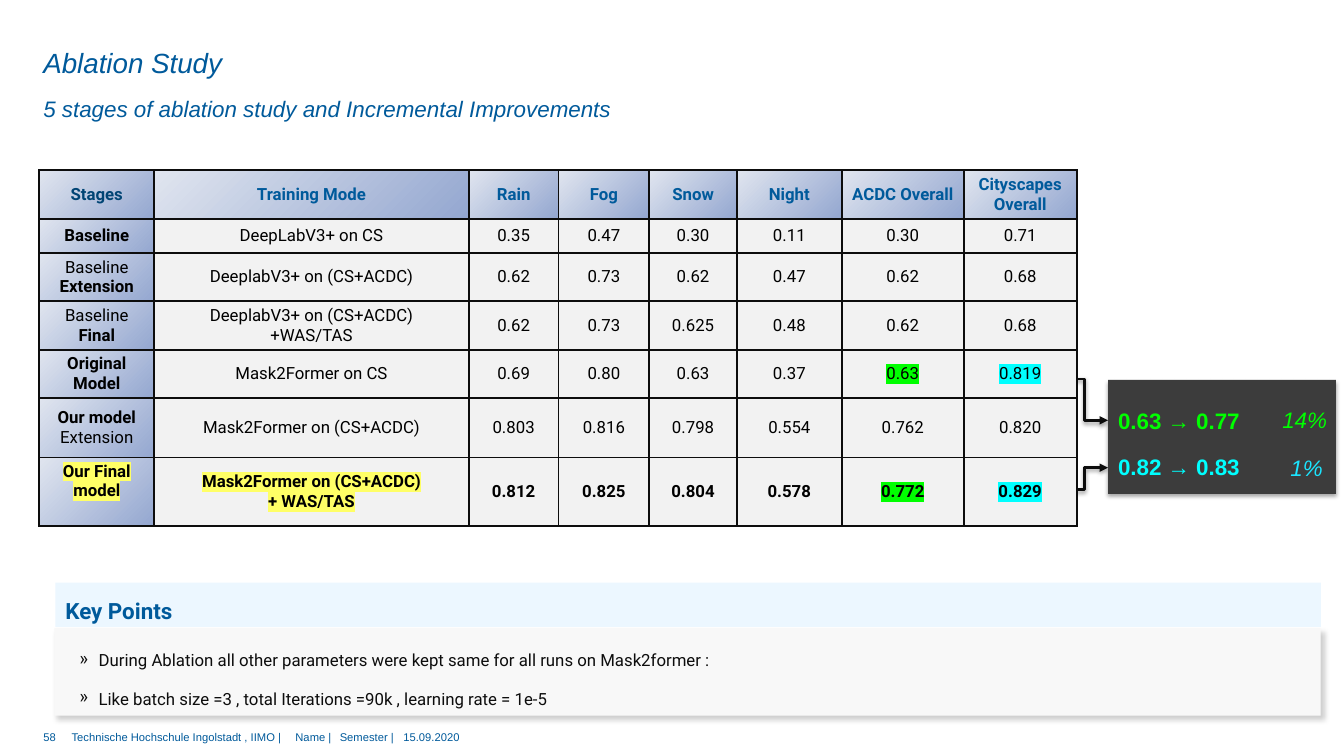
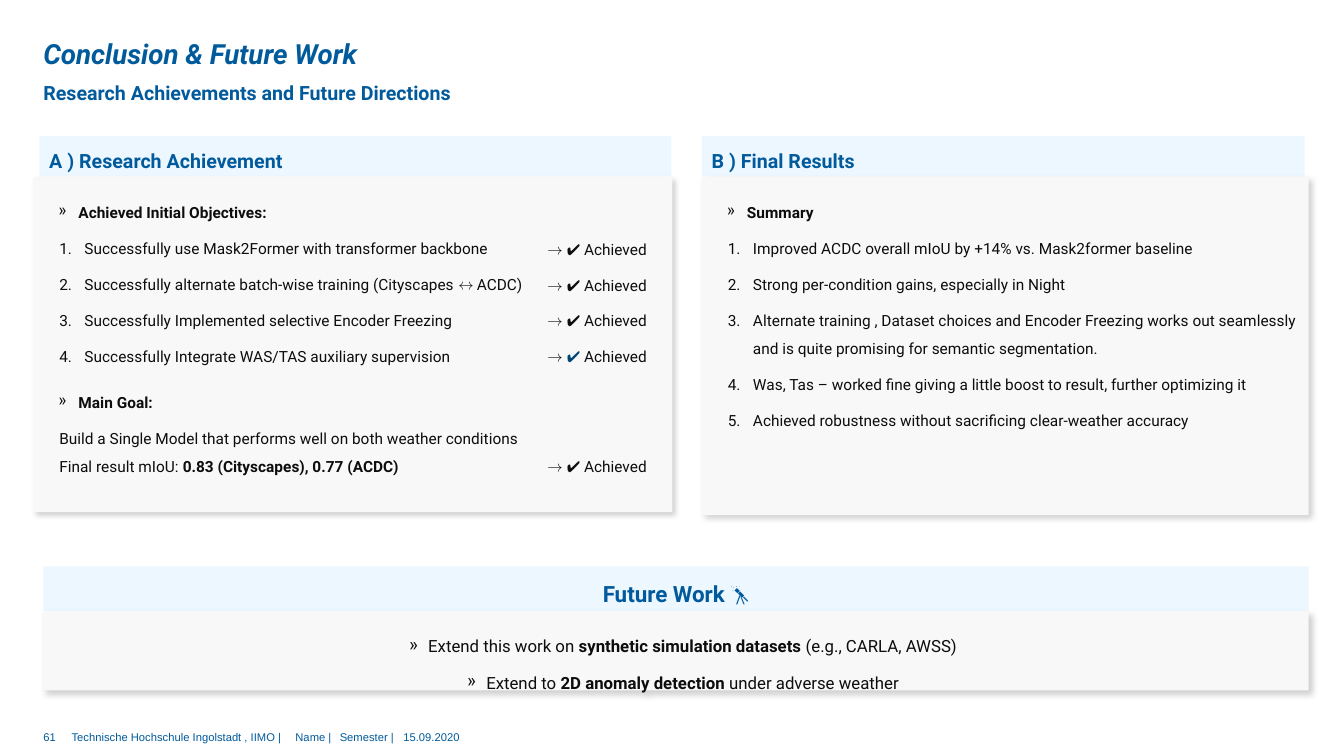
"""Build the ablation study and conclusion slides."""
from lxml.etree import SubElement
from pptx import Presentation
from pptx.dml.color import RGBColor
from pptx.enum.shapes import MSO_CONNECTOR as Link, MSO_SHAPE as Shape
from pptx.enum.text import MSO_ANCHOR as Anchor, PP_ALIGN as Align
from pptx.oxml.ns import qn
from pptx.util import Emu, Pt

PX = 9144
BLUE, NAVY, INK, BLACK = "005A9B", "004474", "0D0D0D", "000000"
PALE, PANEL, CELL, DARK = "B8E1FF", "F8F8F8", "F2F2F2", "3C3C3C"
GREEN, CYAN, SKY, YELLOW = "00FF00", "00FFFF", "1BE5FF", "FFFF66"
STAGE_GRADIENT = ("94A7D0", "E0E5EF")

FOOTER = "Technische Hochschule Ingolstadt , IIMO |\tName |\tSemester |\t15.09.2020"
FOOTER_TABS = (222, 266, 329)

RESULTS_AT = (39, 169)
COLUMN_WIDTHS = (114, 312, 89, 90, 87, 104, 121, 112)
ROW_HEIGHTS = (48, 34, 48, 48, 48, 59, 68)
RESULTS = [
    ("Stages", "Training Mode", "Rain", "Fog", "Snow", "Night", "ACDC Overall", "Cityscapes Overall"),
    ("**Baseline**", "DeepLabV3+ on CS", "0.35", "0.47", "0.30", "0.11", "0.30", "0.71"),
    ("Baseline\n**Extension**", "DeeplabV3+ on (CS+ACDC)", "0.62", "0.73", "0.62", "0.47", "0.62", "0.68"),
    ("Baseline\n**Final**", "DeeplabV3+ on (CS+ACDC)\n+WAS/TAS",
     "0.62", "0.73", "0.625", "0.48", "0.62", "0.68"),
    ("**Original Model**", "Mask2Former on CS", "0.69", "0.80", "0.63", "0.37", "0.63", "0.819"),
    ("**Our model**\nExtension", "Mask2Former on (CS+ACDC)",
     "0.803", "0.816", "0.798", "0.554", "0.762", "0.820"),
    ("Our Final\nmodel", "Mask2Former on (CS+ACDC)\n+ WAS/TAS",
     "0.812", "0.825", "0.804", "0.578", "0.772", "0.829"),
]
FINAL_ROW = len(RESULTS) - 1
HIGHLIGHTS = {(4, 6): GREEN, (4, 7): CYAN, (6, 0): YELLOW, (6, 1): YELLOW, (6, 6): GREEN, (6, 7): CYAN}

GAIN_ARROWS = [(486, 464), (376, 417)]
GAINS = [
    ((1099, 399, 142, 37), "0.63 → 0.77", GREEN, True),
    ((1099, 445, 142, 37), "0.82 → 0.83", CYAN, True),
    ((1262, 398, 67, 37), "14%", GREEN, False),
    ((1270, 446, 67, 37), "1%", SKY, False),
]

POINT = dict(bullet="»", indent=(34, -19))
HEAD = dict(bullet="»", indent=(35, -20), bold=True)
STEP = dict(bullet="1.", indent=(41, -25))
PLAIN = dict(indent=(16, 0))

KEY_POINTS = [
    ("During Ablation all other parameters were kept same for all runs on Mask2former :", POINT),
    ("Like batch size =3 , total Iterations =90k , learning rate = 1e-5", POINT),
]
ACHIEVEMENTS = [
    ("Achieved Initial Objectives:", HEAD),
    ("Successfully use Mask2Former with transformer backbone", STEP),
    ("Successfully alternate batch-wise training (Cityscapes ↔ ACDC)", STEP),
    ("Successfully Implemented selective Encoder Freezing", STEP),
    ("Successfully Integrate WAS/TAS auxiliary supervision", STEP),
    ("Main Goal:", dict(HEAD, line=2.0)),
    ("Build a Single Model that performs well on both weather conditions", dict(PLAIN, after=0)),
    ("Final result mIoU: **0.83 (Cityscapes), 0.77 (ACDC)**", PLAIN),
]
STATUS = "→ **✔️** Achieved"
STATUS_MIDDLES = [(247, INK), (283, INK), (318, INK), (354, NAVY), (463, INK)]
FINAL_RESULTS = [
    ("Summary", HEAD),
    ("Improved ACDC overall mIoU by +14% vs. Mask2former baseline", STEP),
    ("Strong per-condition gains, especially in Night", STEP),
    ("Alternate training , Dataset choices and Encoder Freezing works out seamlessly "
     "and is quite promising for semantic segmentation.", STEP),
    ("Was, Tas – worked fine giving a little boost to result, further optimizing it", STEP),
    ("Achieved robustness without sacrificing clear-weather accuracy", STEP),
]
CENTERED = dict(POINT, align=Align.CENTER, line=1.4)
FUTURE_WORK = [
    ("Extend this work on **synthetic simulation datasets** (e.g., CARLA, AWSS)", CENTERED),
    ("Extend to **2D anomaly detection** under adverse weather", CENTERED),
]


def px(*lengths):
    return [Emu(length * PX) for length in lengths]


def rgb(color):
    return RGBColor.from_string(color)


def add_solid(parent, color):
    fill = SubElement(parent, qn("a:solidFill"))
    return SubElement(fill, qn("a:srgbClr"), val=color)


def write(paragraph, text, size, color=INK, font="Roboto", bold=False, italic=False, align=Align.LEFT,
          line=None, after=0, bullet=None, indent=None, tabs=(), highlight=None):
    for place, part in enumerate(text.split("**")):
        if part:
            run = paragraph.add_run()
            run.text = part
            if place % 2:
                run.font.bold = True
            if highlight:
                run.font.color.rgb = rgb(color)
                mark = SubElement(run._r.get_or_add_rPr(), qn("a:highlight"))
                SubElement(mark, qn("a:srgbClr"), val=highlight)
    paragraph.alignment = align
    if line:
        paragraph.line_spacing = line
    paragraph.space_after = Pt(after)
    props = paragraph._p.get_or_add_pPr()
    if indent:
        left, first = px(*indent)
        props.set("marL", str(left))
        props.set("indent", str(first))
    if bullet == "1.":
        SubElement(props, qn("a:buAutoNum"), type="arabicPeriod")
    elif bullet:
        SubElement(props, qn("a:buChar"), char=bullet)
    if tabs:
        stops = SubElement(props, qn("a:tabLst"))
        for stop in px(*tabs):
            SubElement(stops, qn("a:tab"), pos=str(stop), algn="l")
    style = paragraph.font
    style.name, style.size, style.bold, style.italic = font, Pt(size), bold, italic
    style.color.rgb = rgb(color)


def write_lines(frame, lines, **common):
    for place, (text, style) in enumerate(lines):
        paragraph = frame.add_paragraph() if place else frame.paragraphs[0]
        write(paragraph, text, **{**common, **style})


def set_frame(frame, margins, anchor):
    frame.word_wrap = True
    frame.vertical_anchor = anchor
    (frame.margin_left, frame.margin_top,
     frame.margin_right, frame.margin_bottom) = px(*margins)


def add_label(slide, box, text, size, margins=(0, 0, 0, 0), anchor=Anchor.TOP, **style):
    frame = slide.shapes.add_textbox(*px(*box)).text_frame
    set_frame(frame, margins, anchor)
    write(frame.paragraphs[0], text, size, **style)
    return frame


def add_shadow(effects, opacity, blur, distance, angle):
    shadow = SubElement(effects, qn("a:outerShdw"), blurRad=str(Pt(blur)), dist=str(Pt(distance)),
                        dir=str(angle * 60000), algn="tl", rotWithShape="0")
    color = SubElement(shadow, qn("a:srgbClr"), val=BLACK)
    SubElement(color, qn("a:alpha"), val=str(opacity * 1000))


def add_block(slide, box, color, shadow=None):
    block = slide.shapes.add_shape(Shape.RECTANGLE, *px(*box))
    block.fill.solid()
    block.fill.fore_color.rgb = rgb(color)
    block.line.fill.background()
    block.shadow.inherit = False
    if shadow:
        add_shadow(block._element.spPr.find(qn("a:effectLst")), *shadow)
    return block


def add_section(slide, heading, band_box, panel_box, lines, size, heading_size=16, top=16,
                align=Align.LEFT):
    panel = add_block(slide, panel_box, PANEL, (18, 4, 3, 45))
    set_frame(panel.text_frame, (10, top, 10, 0), Anchor.TOP)
    write_lines(panel.text_frame, lines, size=size, line=1.5, after=6)
    band = add_block(slide, band_box, PALE)
    tint = band._element.spPr.find(qn("a:solidFill")).find(qn("a:srgbClr"))
    SubElement(tint, qn("a:alpha"), val="26000")
    set_frame(band.text_frame, (10, 5, 10, 5), Anchor.MIDDLE)
    write(band.text_frame.paragraphs[0], heading, heading_size, BLUE, bold=True, align=align,
          line=1.4, after=6)


def add_arrow(slide, start, end):
    arrow = slide.shapes.add_connector(Link.ELBOW, *px(*start, *end))
    arrow.line.color.rgb = rgb(INK)
    arrow.line.width = Pt(2)
    SubElement(arrow.line._get_or_add_ln(), qn("a:tailEnd"), type="triangle")
    add_shadow(SubElement(arrow._element.spPr, qn("a:effectLst")), 38, 3.1, 1.6, 90)


def add_results(slide):
    size = (sum(COLUMN_WIDTHS), sum(ROW_HEIGHTS))
    table = slide.shapes.add_table(len(RESULTS), len(COLUMN_WIDTHS), *px(*RESULTS_AT, *size)).table
    table.first_row = table.horz_banding = False
    for column, width in zip(table.columns, px(*COLUMN_WIDTHS)):
        column.width = width
    for row, height in zip(table.rows, px(*ROW_HEIGHTS)):
        row.height = height
    for r, values in enumerate(RESULTS):
        for c, value in enumerate(values):
            cell = table.cell(r, c)
            final_stage = (r, c) == (FINAL_ROW, 0)
            cell.vertical_anchor = Anchor.TOP if final_stage else Anchor.MIDDLE
            cell.margin_left, cell.margin_right, cell.margin_top, cell.margin_bottom = px(9, 9, 4, 4)
            for side in "LRTB":
                edge = SubElement(cell._tc.get_or_add_tcPr(), qn("a:ln" + side), w=str(Pt(1.5)))
                add_solid(edge, INK)
            if r and c:
                cell.fill.solid()
                cell.fill.fore_color.rgb = rgb(CELL)
            else:
                cell.fill.gradient()
                cell.fill.gradient_angle = 135
                for stop, color in zip(cell.fill.gradient_stops, STAGE_GRADIENT):
                    stop.color.rgb = rgb(color)
            color = BLACK if r else BLUE if c else NAVY
            write_lines(cell.text_frame, [(text, {}) for text in value.split("\n")], size=12,
                        color=color, bold=r in (0, FINAL_ROW), align=Align.CENTER,
                        highlight=HIGHLIGHTS.get((r, c)))


def add_slide(deck, number, title, subtitle, tops, subtitle_size, **style):
    slide = deck.slides.add_slide(deck.slide_layouts[6])
    add_label(slide, (71, 725, 899, 27), FOOTER, 8, color=BLUE, font="Arial", tabs=FOOTER_TABS)
    add_label(slide, (43, 725, 28, 23), number, 8, color=BLUE, font="Arial")
    add_label(slide, (43, tops[0], 1067, 36), title, 19.8, anchor=Anchor.MIDDLE, color=BLUE,
              italic=True, **style)
    add_label(slide, (43, tops[1], 1067, 37), subtitle, subtitle_size, color=BLUE, line=1.5,
              italic=not style.get("bold", False), **style)
    return slide


def add_ablation(deck):
    slide = add_slide(deck, "58", "Ablation Study",
                      "5 stages of ablation study and Incremental Improvements", (44, 81), 16, font="Arial")
    for start, end in GAIN_ARROWS:
        add_arrow(slide, (1053, start), (1099, end))
    add_block(slide, (1099, 377, 226, 113), DARK, (35, 3.1, 1.8, 90))
    for box, text, color, bold in GAINS:
        add_label(slide, box, text, 16, (10, 5, 10, 5), color=color, font="Arial", bold=bold,
                  italic=not bold)
    add_section(slide, "Key Points", (55, 578, 1255, 44), (54, 623, 1256, 87), KEY_POINTS, 12, top=12)
    add_results(slide)


def add_conclusion(deck):
    slide = add_slide(deck, "61", "Conclusion & Future Work",
                      "Research Achievements and Future Directions", (35, 69), 14, font="Roboto", bold=True)
    add_section(slide, "Future Work 🔭", (43, 562, 1255, 44), (42, 607, 1256, 78), FUTURE_WORK, 12,
                align=Align.CENTER)
    add_section(slide, "A ) Research Achievement", (39, 135, 627, 40), (33, 176, 634, 332),
                ACHIEVEMENTS, 11, 14)
    add_section(slide, "B ) Final Results", (696, 135, 598, 40), (696, 176, 602, 335),
                FINAL_RESULTS, 11, 14)
    for middle, color in STATUS_MIDDLES:
        status = add_label(slide, (543, middle - 14, 115, 28), STATUS, 11, anchor=Anchor.MIDDLE)
        check = status.paragraphs[0].runs[1].font
        check.bold = False
        check.color.rgb = rgb(color)


def main():
    deck = Presentation()
    deck.slide_width, deck.slide_height = px(1333, 750)
    add_ablation(deck)
    add_conclusion(deck)
    deck.save("out.pptx")


if __name__ == "__main__":
    main()
